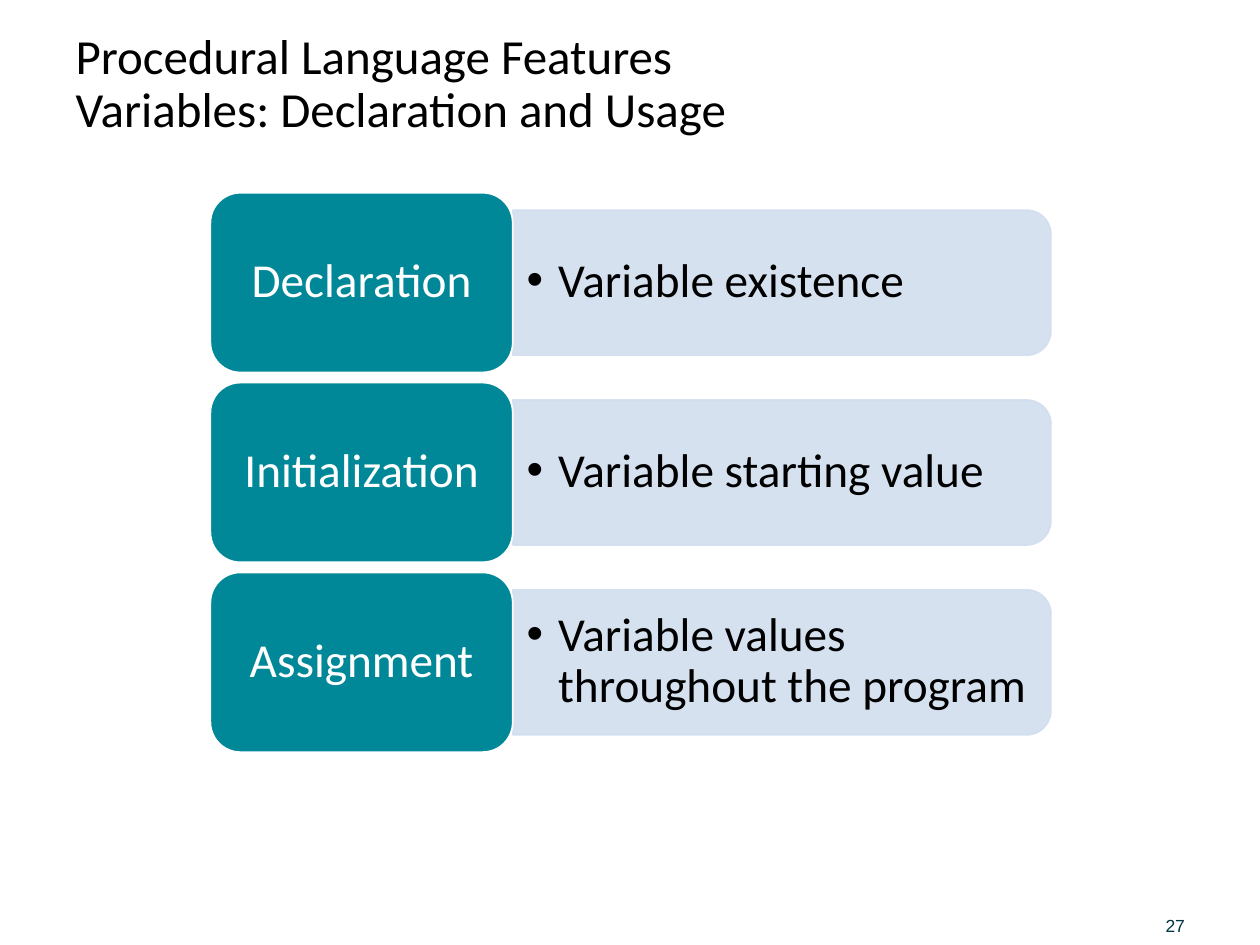
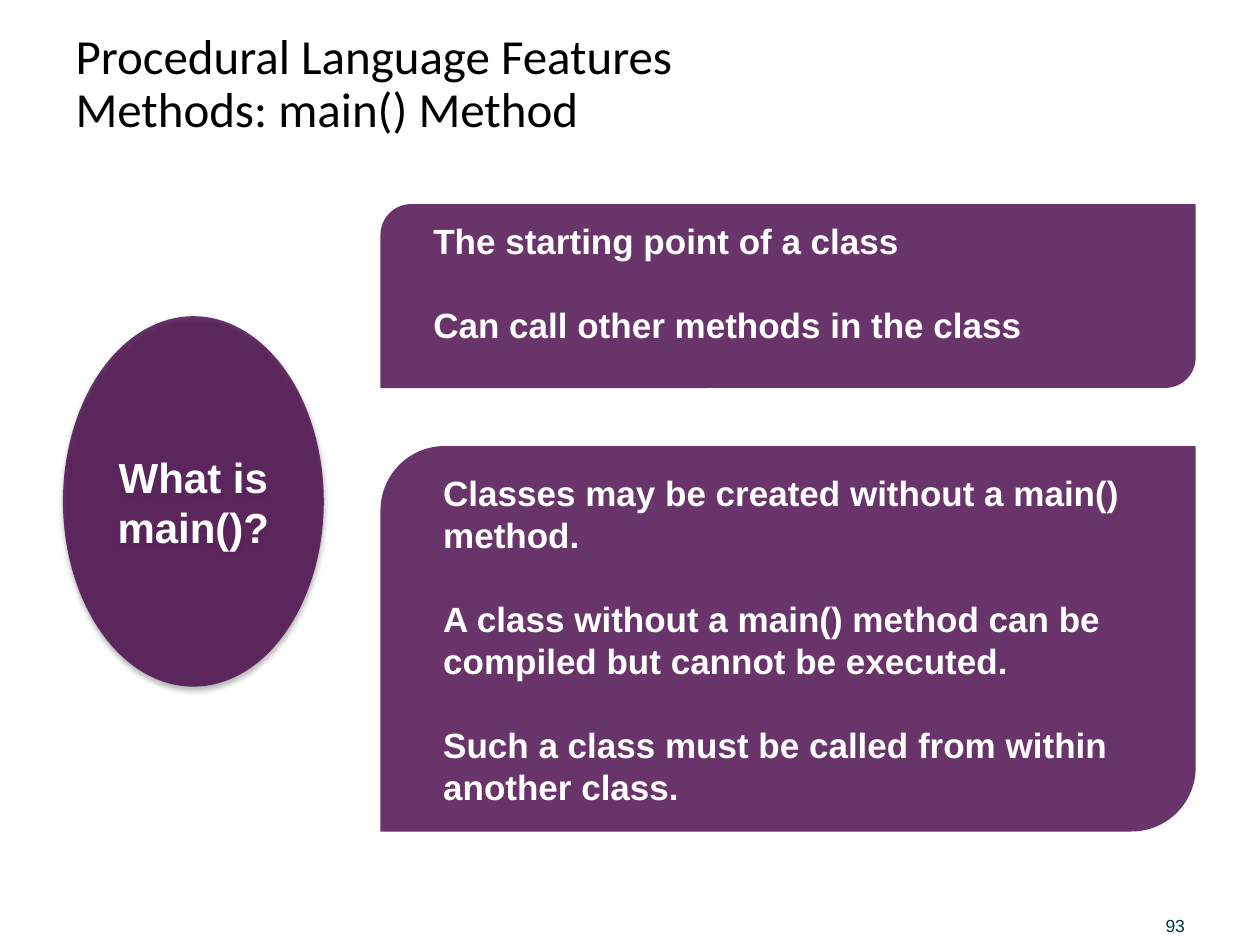
from lxml.etree import SubElement
from pptx import Presentation
from pptx.dml.color import RGBColor
from pptx.enum.shapes import MSO_SHAPE as SHAPE
from pptx.enum.text import MSO_ANCHOR as ANCHOR, MSO_AUTO_SIZE as FIT, PP_ALIGN as ALIGN
from pptx.oxml.ns import qn
from pptx.util import Inches, Pt

COLORS = {
    "ink": "000000", "white": "FFFFFF", "number": "003344",
    "teal": "008899", "pale": "D2DEEF", "purple": "440244",
}
TOPIC = "Procedural Language Features"
VARIABLES = {
    "title": "Variables: Declaration and Usage",
    "number": "27",
    "rows": [
        ("Declaration", "Variable existence"),
        ("Initialization", "Variable starting value"),
        ("Assignment", "Variable values throughout the program"),
    ],
}
MAIN_METHOD = {
    "title": "Methods: main() Method",
    "number": "93",
    "question": "What is main()?",
    "cards": [
        (1.62, 1.46, ["The starting point of a class",
                      "Can call other methods in the class"]),
        (3.54, 3.06, ["Classes may be created without a main() method.",
                      "A class without a main() method can be compiled but cannot be executed.",
                      "Such a class must be called from within another class."]),
    ],
}
ROWS_TOP, ROWS_HEIGHT, ROW_GAP = 1.53, 4.44, 0.08
LABEL_LEFT, LABEL_WIDTH = 1.67, 2.4
BAND_WIDTH, BAND_HEIGHT = 4.27, 1.15
CARD_LEFT, CARD_WIDTH = 3.02, 6.47


def rgb(name):
    return RGBColor.from_string(COLORS[name])


def set_text(shape, lines, size=20, font="Arial", color="white", bold=False,
             align=ALIGN.LEFT, anchor=ANCHOR.MIDDLE, inset=(0.1, 0.05),
             spacing=None, before=0, margin=0, indent=0, bullet=None):
    tf = shape.text_frame
    tf.word_wrap = True
    tf.auto_size = FIT.NONE
    tf.vertical_anchor = anchor
    tf.margin_left = tf.margin_right = Inches(inset[0])
    tf.margin_top = tf.margin_bottom = Inches(inset[1])
    for i, line in enumerate(lines):
        p = tf.add_paragraph() if i else tf.paragraphs[0]
        p.text = line
        p.alignment = align
        p.line_spacing = spacing
        p.space_before = Pt(before if i else 0)
        pPr = p._p.get_or_add_pPr()
        pPr.set("marL", str(Inches(margin)))
        pPr.set("indent", str(Inches(indent)))
        if bullet:
            SubElement(pPr, qn("a:buFont"), typeface="Arial")
            SubElement(pPr, qn("a:buChar"), char=bullet)
        for r in p.runs:
            r.font.name, r.font.size, r.font.bold = font, Pt(size), bold
            r.font.color.rgb = rgb(color)


def add_box(s, kind, left, top, width, height, fill, line=None, opacity=100):
    sp = s.shapes.add_shape(kind, *map(Inches, (left, top, width, height)))
    sp.shadow.inherit = False
    sp.fill.solid()
    sp.fill.fore_color.rgb = rgb(fill)
    if line:
        sp.line.color.rgb = rgb(line)
        sp.line.width = Pt(1)
    else:
        sp.line.fill.background()
    if opacity < 100:
        for color in sp._element.spPr.iter(qn("a:srgbClr")):
            SubElement(color, qn("a:alpha"), val=str(opacity * 1000))
    return sp


def add_shadow(sp, opacity, blur, distance):
    effects = sp._element.spPr.find(qn("a:effectLst"))
    shadow = SubElement(effects, qn("a:outerShdw"), blurRad=str(Pt(blur)),
                        dist=str(Pt(distance)), dir="5400000", rotWithShape="0")
    color = SubElement(shadow, qn("a:srgbClr"), val=COLORS["ink"])
    SubElement(color, qn("a:alpha"), val=str(opacity * 1000))


def add_textbox(s, left, top, width, height):
    return s.shapes.add_textbox(*map(Inches, (left, top, width, height)))


def add_slide(prs, content):
    s = prs.slides.add_slide(prs.slide_layouts[5])
    title = s.shapes.title
    title.left, title.top, title.width, title.height = map(Inches, (0.5, 0.2, 8.83, 0.95))
    set_text(title, [f"{TOPIC}\v{content['title']}"], size=28, font="Calibri",
             color="ink", spacing=0.9)
    set_text(add_textbox(s, 9.25, 7.15, 0.69, 0.28), [content["number"]], size=10,
             color="number", anchor=ANCHOR.BOTTOM, inset=(0, 0))
    return s


def build_variables(prs):
    s = add_slide(prs, VARIABLES)
    rows = VARIABLES["rows"]
    height = (ROWS_HEIGHT - ROW_GAP * (len(rows) - 1)) / len(rows)
    band_left = LABEL_LEFT + LABEL_WIDTH
    style = dict(size=27, font="Calibri", spacing=0.9, inset=(0.11, 0.06))
    for i, (label, meaning) in enumerate(rows):
        top = ROWS_TOP + i * (height + ROW_GAP)
        middle = top + height / 2
        band = add_box(s, SHAPE.ROUND_2_SAME_RECTANGLE,
                       band_left + (BAND_WIDTH - BAND_HEIGHT) / 2, middle - BAND_WIDTH / 2,
                       BAND_HEIGHT, BAND_WIDTH, "pale", line="pale", opacity=90)
        band.rotation = 90
        set_text(add_textbox(s, band_left, middle - 0.52, 4.21, 1.03), [meaning],
                 color="ink", margin=0.25, indent=-0.25, bullet="•", **style)
        tile = add_box(s, SHAPE.ROUNDED_RECTANGLE, LABEL_LEFT, top, LABEL_WIDTH, height,
                       "teal", line="white")
        set_text(tile, [label], align=ALIGN.CENTER, **style)


def build_main_method(prs):
    s = add_slide(prs, MAIN_METHOD)
    oval = add_box(s, SHAPE.OVAL, 0.5, 2.51, 2.07, 2.94, "purple", opacity=80)
    add_shadow(oval, opacity=35, blur=3.1, distance=1.8)
    set_text(oval, [MAIN_METHOD["question"]], size=24, bold=True, align=ALIGN.CENTER)
    for top, height, points in MAIN_METHOD["cards"]:
        card = add_box(s, SHAPE.ROUND_2_DIAG_RECTANGLE, CARD_LEFT, top, CARD_WIDTH, height,
                       "purple", opacity=80)
        set_text(card, points, bold=True, anchor=ANCHOR.TOP, margin=0.25, before=24)


def main():
    prs = Presentation()
    prs.slide_width, prs.slide_height = Inches(10), Inches(7.5)
    build_variables(prs)
    build_main_method(prs)
    prs.save("out.pptx")


if __name__ == "__main__":
    main()
